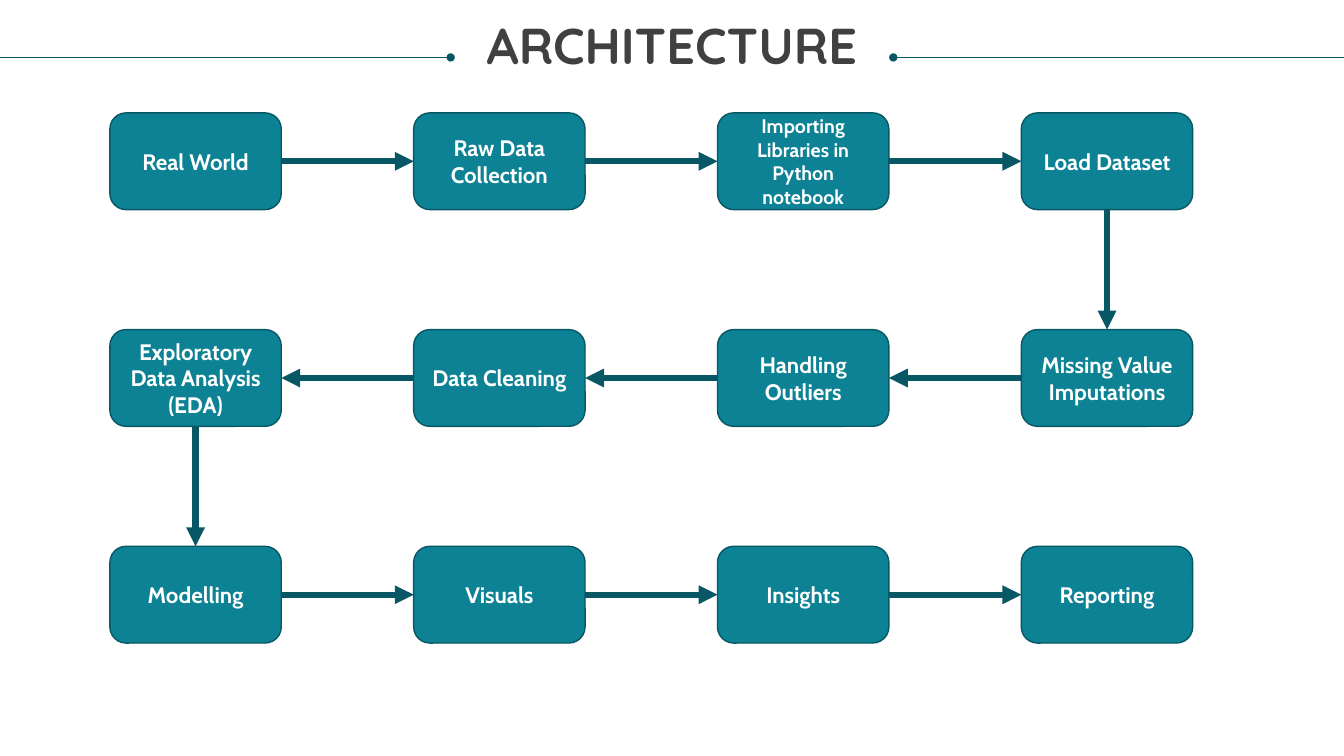
"""Build the architecture slide: a winding flow of twelve steps under a ruled title."""
import pptx
import pptx.dml.color
import pptx.enum.shapes
import pptx.enum.text
import pptx.oxml
import pptx.oxml.ns
import pptx.util

Inches = pptx.util.Inches
Pt = pptx.util.Pt
STRAIGHT = pptx.enum.shapes.MSO_CONNECTOR.STRAIGHT
TEAL, DARK_TEAL, WHITE, CHARCOAL = "0D8295", "085764", "FFFFFF", "404040"
WIDTH, HEIGHT = 13.33, 7.5
COLUMNS = 4
LEFT, TOP = 1.09, 1.12
BOX_WIDTH, BOX_HEIGHT = 1.7, 0.96
COLUMN_STEP, ROW_STEP = 9.04 / 3, 2.15
TOP_SITE, LEFT_SITE, BOTTOM_SITE, RIGHT_SITE = range(4)
STEPS = [
    "Real World", "Raw Data Collection", "Importing Libraries in Python notebook", "Load Dataset",
    "Missing Value Imputations", "Handling Outliers", "Data Cleaning", "Exploratory Data Analysis (EDA)",
    "Modelling", "Visuals", "Insights", "Reporting",
]
SMALL_STEP = 2


def write(shape, text, color, formats):
    frame = shape.text_frame
    frame.word_wrap = True
    para = frame.paragraphs[0]
    para.alignment = pptx.enum.text.PP_ALIGN.CENTER
    span = para.add_run()
    span.text = text
    span.font.color.rgb = pptx.dml.color.RGBColor.from_string(color)
    for name, value in formats.items():
        setattr(span.font, name, value)
    return para


def style_line(connector, weight, end_mark):
    connector.line.width = Pt(weight)
    connector.line.color.rgb = pptx.dml.color.RGBColor.from_string(DARK_TEAL)
    outline = connector.line._get_or_add_ln()
    mark = pptx.oxml.parse_xml(f'<a:tailEnd {pptx.oxml.ns.nsdecls("a")} type="{end_mark}"/>')
    outline.append(mark)
    effects = pptx.oxml.parse_xml(f'<a:effectLst {pptx.oxml.ns.nsdecls("a")}/>')
    connector._element.spPr.append(effects)


deck = pptx.Presentation()
deck.slide_width, deck.slide_height = Inches(WIDTH), Inches(HEIGHT)
page = deck.slides.add_slide(deck.slide_layouts[6])

rule_height = Inches(0.57)
for outer, inner in [(0, 4.47), (WIDTH, 8.86)]:
    rule = page.shapes.add_connector(STRAIGHT, Inches(outer), rule_height, Inches(inner), rule_height)
    style_line(rule, 0.5, "oval")

title = page.shapes.add_textbox(Inches(0.25), Inches(0.21), Inches(WIDTH - 0.5), Inches(0.55))
for side in ("left", "top", "right", "bottom"):
    setattr(title.text_frame, f"margin_{side}", 0)
title_para = write(title, "ARCHITECTURE", CHARCOAL, {"name": "Quicksand", "size": Pt(36), "bold": True})
title_para.line_spacing = 0.9

boxes = []
for index, step in enumerate(STEPS):
    row, column = divmod(index, COLUMNS)
    if row % 2:
        column = COLUMNS - 1 - column
    box = page.shapes.add_shape(
        pptx.enum.shapes.MSO_SHAPE.ROUNDED_RECTANGLE,
        Inches(LEFT + column * COLUMN_STEP), Inches(TOP + row * ROW_STEP),
        Inches(BOX_WIDTH), Inches(BOX_HEIGHT))
    box.shadow.inherit = False
    box.fill.solid()
    box.fill.fore_color.rgb = pptx.dml.color.RGBColor.from_string(TEAL)
    box.line.color.rgb = pptx.dml.color.RGBColor.from_string(DARK_TEAL)
    box.line.width = Pt(1)
    box.text_frame.vertical_anchor = pptx.enum.text.MSO_ANCHOR.MIDDLE
    size = Pt(14 if index == SMALL_STEP else 16)
    write(box, step, WHITE, {"name": "Cabin", "size": size, "bold": True})
    boxes.append(box)

for index, (source, target) in enumerate(zip(boxes, boxes[1:])):
    if index % COLUMNS == COLUMNS - 1:
        start_site, end_site = BOTTOM_SITE, TOP_SITE
    elif index // COLUMNS % 2:
        start_site, end_site = LEFT_SITE, RIGHT_SITE
    else:
        start_site, end_site = RIGHT_SITE, LEFT_SITE
    arrow = page.shapes.add_connector(STRAIGHT, 0, 0, 0, 0)
    arrow.begin_connect(source, start_site)
    arrow.end_connect(target, end_site)
    style_line(arrow, 4.5, "triangle")

deck.save("out.pptx")
